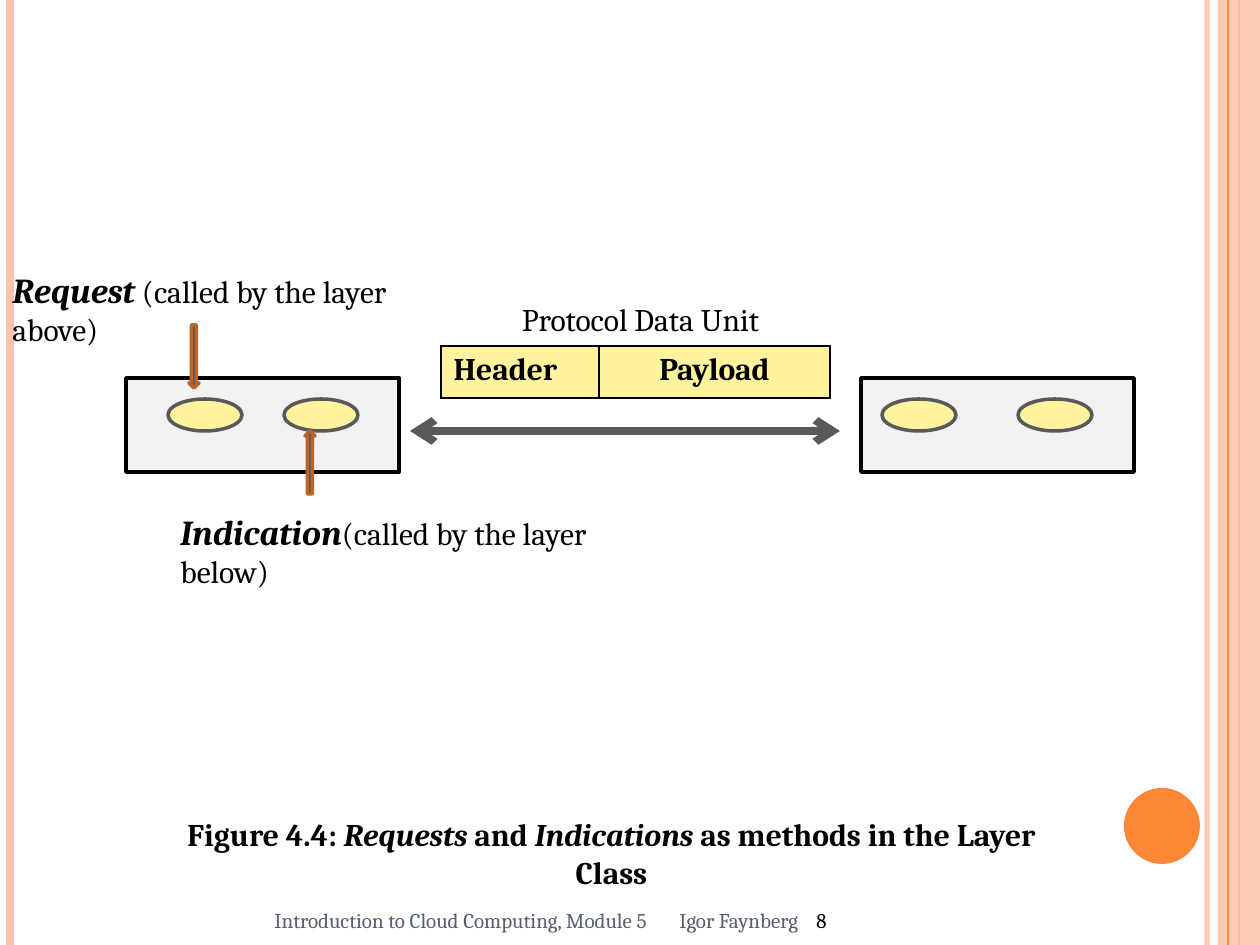
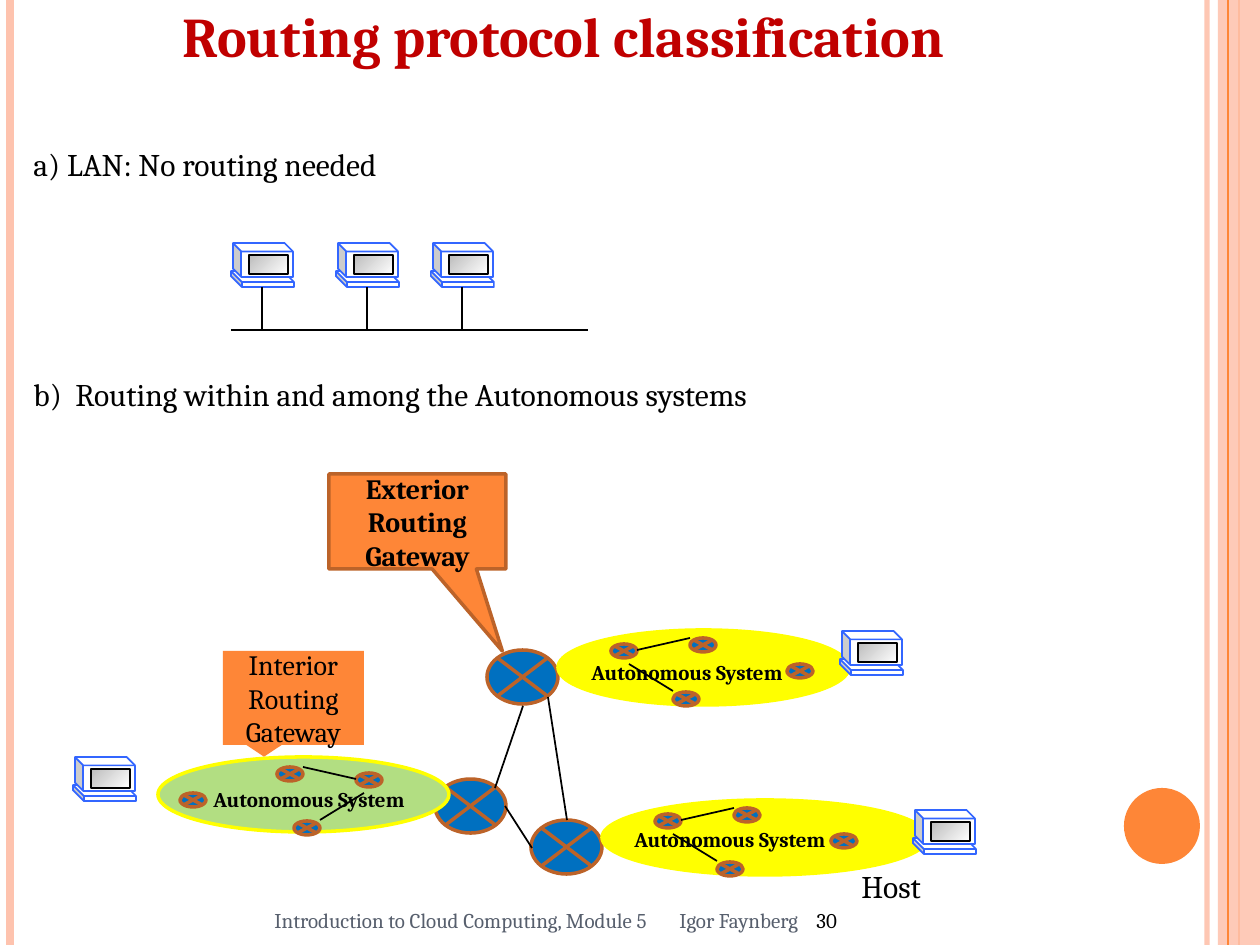
import pptx
import pptx.dml.color
import pptx.enum.shapes
import pptx.enum.text
import pptx.oxml
import pptx.oxml.ns
import pptx.util
from lxml import etree

SCALE = 914400 / 126  # EMU in one px
FONT = "Cambria"
COLORS = {
    "black": "000000", "white": "FFFFFF", "peach": "FEC3AE", "orange": "FE8637",
    "rust": "BC6329", "slate": "575F6D", "gray": "595959", "light": "F2F2F2",
    "cream": "FFF39D", "red": "C00000", "blue": "0070C0", "yellow": "FFFF00",
    "green": "B2DE82", "edge": "3366FF", "shade": "BCBCBC",
}
SHAPES = pptx.enum.shapes.MSO_SHAPE
ALIGN = pptx.enum.text.PP_ALIGN
ANCHOR = pptx.enum.text.MSO_ANCHOR

# ---- Shared content: bands and footer ----
BANDS = [  # x, color, width in points, opacity in percent
    (1207, "peach", 3, 93), (10, "peach", 4.5, 100), (1239, "orange", 1.5, 100),
]
SIDE_BAND = (1218, 0, 42, 945)
INNER_BAND = (1228, "orange", 0.75, 100)
CORNER_DOT = (1124, 788, 76, 76)
FOOTER = ["Introduction to Cloud Computing, Module 5", "\tIgor Faynberg"]
FOOTER_BOX = (262, 895, 872, 50)
FOOTER_TABS = [405, 542]

# ---- Content: layer class figure ----
CAPTION = [("Figure 4.4: ", {}), ("Requests", {"italic": True}), (" and ", {}),
           ("Indications", {"italic": True}), (" as methods in the Layer Class", {})]
CAPTION_BOX = (151, 809, 921, 50)
LAYERS = [(126, 378, 273, 94), (861, 378, 273, 94)]
METHOD_LEFTS = [168, 284, 882, 1018]
CALLS = [(SHAPES.UP_ARROW, 305, 431), (SHAPES.DOWN_ARROW, 189, 325)]
CALL_LABELS = [
    ((0, 262, 490, 55), "Request", " (called by the layer above)"),
    ((168, 504, 513, 55), "Indication", "(called by the layer below)"),
]
UNIT_LABEL = ("Protocol Data Unit", (441, 294, 399, 50))
UNIT_FIELDS = [("Header", 158, ALIGN.LEFT), ("Payload", 231, ALIGN.CENTER)]
UNIT_AT = (441, 346, 389, 52)

# ---- Content: routing ----
TITLE = "Routing protocol classification"
TITLE_BOX = (91, -5, 945, 81)
HEADINGS = [("a) LAN: No routing needed", (21, 139, 620, 50)),
            ("b)\tRouting within and among the Autonomous systems", (21, 369, 1040, 50))]
HEADING_TAB = 42
LAN_HOSTS = [(231, 243), (336, 243), (431, 243)]
LAN_CABLE = (231, 330, 588, 330)
REMOTE_HOSTS = [(840, 631), (913, 810), (73, 757)]
HOST_LABEL = ("Host", (849, 861, 150, 33))
SYSTEM_LABEL = "Autonomous System"
SYSTEMS = [  # node origin, direction, cloud box, cloud fill, label corner
    ((558, 630), 1, (558, 630, 291, 75), "yellow", (577, 653)),
    ((435, 759), -1, (158, 757, 291, 75), "green", (199, 780)),
    ((602, 800), 1, (602, 800, 326, 75), "yellow", (620, 820)),
]
EXTERIOR_ROUTER = (-71, 20, 71, 54)
INTERIOR_ROUTERS = [(53, 14), (132, 8), (115, 62), (229, 34)]
INTERIOR_SIZE = (26, 14)
INTERIOR_LINKS = [((79, 20), (132, 8)), ((71, 34), (115, 61))]
EXTERIOR_LINKS = [(523, 706, 495, 788), (532, 848, 505, 806), (548, 697, 567, 820)]
CALLOUTS = [  # words, box, bold, line color, pointer
    (["Interior", "Routing", "Gateway"], (223, 651, 141, 94), False, None, None),
    (["Exterior", "Routing", "Gateway"], (329, 474, 177, 95), True, "rust", (0.48, 1.364)),
]


# ---- Helpers ----
def px(length):
    return pptx.util.Emu(round(length * SCALE))


def rgb(name):
    return pptx.dml.color.RGBColor.from_string(COLORS[name])


def set_opacity(part, percent):
    color = next(part.iter(pptx.oxml.ns.qn("a:srgbClr")))
    etree.SubElement(color, pptx.oxml.ns.qn("a:alpha")).set("val", str(percent * 1000))


def add_shape(page, kind, box, fill, line=None, width=2, flip=False):
    shape = page.shapes.add_shape(kind, *map(px, box))
    shape.shadow.inherit = False
    shape.fill.solid()
    shape.fill.fore_color.rgb = rgb(fill)
    if line:
        shape.line.color.rgb = rgb(line)
        shape.line.width = pptx.util.Pt(width)
    else:
        shape.line.fill.background()
    if flip:
        shape.element.spPr.get_or_add_xfrm().set("flipH", "1")
    return shape


def add_line(page, ends, color="black", width=1, opacity=100, arrows=False):
    line = page.shapes.add_connector(
        pptx.enum.shapes.MSO_CONNECTOR.STRAIGHT, *map(px, ends))
    line.line.color.rgb = rgb(color)
    line.line.width = pptx.util.Pt(width)
    properties = line.element.spPr
    if opacity < 100:
        set_opacity(properties, opacity)
    if arrows:
        for end in ("a:headEnd", "a:tailEnd"):
            etree.SubElement(properties.ln, pptx.oxml.ns.qn(end)).set("type", "arrow")
    etree.SubElement(properties, pptx.oxml.ns.qn("a:effectLst"))


def style_font(para, size, color="black", bold=False, align=ALIGN.LEFT):
    para.alignment = align
    para.font.name = FONT
    para.font.size = pptx.util.Pt(size)
    para.font.bold = bold
    para.font.color.rgb = rgb(color)


def add_spans(para, spans):
    for text, style in spans:
        span = para.add_run()
        span.text = text
        for key, value in style.items():
            setattr(span.font, key, value)


def set_tabs(para, stops):
    tabs = etree.Element(pptx.oxml.ns.qn("a:tabLst"))
    for stop in stops:
        tab = etree.SubElement(tabs, pptx.oxml.ns.qn("a:tab"))
        tab.set("pos", str(px(stop)))
        tab.set("algn", "l")
    para.font  # the tab list goes ahead of the font defaults
    para._p.pPr.find(pptx.oxml.ns.qn("a:defRPr")).addprevious(tabs)


def add_text(page, box, spans, size, **style):
    frame = page.shapes.add_textbox(*map(px, box)).text_frame
    frame.word_wrap = True
    para = frame.paragraphs[0]
    style_font(para, size, **style)
    add_spans(para, spans)
    return para


def place_title(page, box, spans, size, color):
    title = page.shapes.title
    title.left, title.top, title.width, title.height = map(px, box)
    frame = title.text_frame
    frame.word_wrap = True
    frame.auto_size = pptx.enum.text.MSO_AUTO_SIZE.NONE
    frame.vertical_anchor = ANCHOR.TOP
    style_font(frame.paragraphs[0], size, color, True, ALIGN.CENTER)
    add_spans(frame.paragraphs[0], spans)


def add_page(deck, number):
    page = deck.slides.add_slide(deck.slide_layouts.get_by_name("Title Only"))
    for x, *look in BANDS:
        add_line(page, (x, 0, x, 945), *look)
    band = add_shape(page, SHAPES.RECTANGLE, SIDE_BAND, "peach")
    set_opacity(band.element.spPr, 87)
    x, *look = INNER_BAND
    add_line(page, (x, 0, x, 945), *look)
    add_shape(page, SHAPES.OVAL, CORNER_DOT, "orange")
    footer = add_text(page, FOOTER_BOX, [(text, {}) for text in FOOTER], 12, color="slate")
    add_spans(footer, [(f"\t{number}", {})])
    footer.runs[-1].font.color.rgb = rgb("black")
    set_tabs(footer, FOOTER_TABS)
    page.shapes[-1].text_frame.vertical_anchor = ANCHOR.MIDDLE
    return page


# ---- Layer class figure ----
def add_unit_table(page):
    table = page.shapes.add_table(1, len(UNIT_FIELDS), *map(px, UNIT_AT)).table
    table.first_row = table.horz_banding = False
    table.rows[0].height = px(UNIT_AT[3])
    for index, (text, width, align) in enumerate(UNIT_FIELDS):
        table.columns[index].width = px(width)
        cell = table.cell(0, index)
        para = cell.text_frame.paragraphs[0]
        style_font(para, 18, bold=True, align=align)
        add_spans(para, [(text, {})])
        cell.fill.solid()
        cell.fill.fore_color.rgb = rgb("cream")
        properties = cell._tc.get_or_add_tcPr()
        for position, side in enumerate("LRTB"):
            properties.insert(position, pptx.oxml.parse_xml(
                f'<a:ln{side} {pptx.oxml.ns.nsdecls("a")} w="12700"><a:solidFill>'
                f'<a:srgbClr val="{COLORS["black"]}"/></a:solidFill></a:ln{side}>'))


def build_layer_page(deck):
    page = add_page(deck, 8)
    place_title(page, CAPTION_BOX, CAPTION, 18, "black")
    for box in LAYERS:
        add_shape(page, SHAPES.RECTANGLE, box, "light", "black")
    add_line(page, (410, 431, 840, 431), "gray", 4.5, arrows=True)
    add_unit_table(page)
    text, box = UNIT_LABEL
    add_text(page, box, [(text, {})], 18, align=ALIGN.CENTER)
    for left in METHOD_LEFTS:
        add_shape(page, SHAPES.OVAL, (left, 399, 74, 32), "cream", "gray")
    for kind, left, top in CALLS:
        add_shape(page, kind, (left, top, 10, 63), "gray", "rust")
    strong = {"size": pptx.util.Pt(20), "bold": True, "italic": True}
    for box, name, note in CALL_LABELS:
        add_text(page, box, [(name, strong), (note, {})], 18)


# ---- Routing ----
def add_host(page, left, top):
    for box, depth in (((left, top + 28, 63, 16), 0.683), ((left + 2, top, 60, 34), 0.247)):
        cube = add_shape(page, SHAPES.CUBE, box, "white", "edge", 1, flip=True)
        cube.adjustments[0] = depth
    screen = add_shape(page, SHAPES.RECTANGLE, (left + 18, top + 12, 39, 19),
                       "white", "black", 1)
    screen.fill.gradient()
    screen.fill.gradient_angle = 315
    for stop, color in zip(screen.fill.gradient_stops, ("shade", "white")):
        stop.color.rgb = rgb(color)


def add_system(page, origin, direction, cloud, fill, label):
    x, y = origin

    def add_router(dx, dy, width, height):
        left = x + dx if direction > 0 else x - dx - width
        add_shape(page, SHAPES.FLOWCHART_SUMMING_JUNCTION,
                  (left, y + dy, width, height), "blue", "rust")

    add_router(*EXTERIOR_ROUTER)
    add_shape(page, SHAPES.OVAL, cloud, fill, "yellow")
    add_text(page, (*label, 220, 38), [(SYSTEM_LABEL, {})], 12, bold=True,
             align=ALIGN.CENTER)
    for offset in INTERIOR_ROUTERS:
        add_router(*offset, *INTERIOR_SIZE)
    for (x1, y1), (x2, y2) in INTERIOR_LINKS:
        add_line(page, (x + direction * x1, y + y1, x + direction * x2, y + y2))


def build_routing_page(deck):
    page = add_page(deck, 30)
    place_title(page, TITLE_BOX, [(TITLE, {})], 32, "red")
    for system in SYSTEMS:
        add_system(page, *system)
    for ends in EXTERIOR_LINKS:
        add_line(page, ends)
    for words, box, bold, line, pointer in CALLOUTS:
        callout = add_shape(page, SHAPES.RECTANGULAR_CALLOUT, box, "orange", line)
        if pointer:
            callout.adjustments[0], callout.adjustments[1] = pointer
        frame = callout.text_frame
        frame.vertical_anchor = ANCHOR.MIDDLE
        frame.text = "\n".join(words)
        for para in frame.paragraphs:
            style_font(para, 16, bold=bold, align=ALIGN.CENTER)
    add_line(page, LAN_CABLE)
    for left, top in LAN_HOSTS:
        add_host(page, left, top)
        add_line(page, (left + 31, top + 44, left + 31, LAN_CABLE[1]))
    for corner in REMOTE_HOSTS:
        add_host(page, *corner)
    for text, box in HEADINGS:
        set_tabs(add_text(page, box, [(text, {})], 18), [HEADING_TAB])
    text, box = HOST_LABEL
    add_text(page, box, [(text, {})], 18)


def main():
    deck = pptx.Presentation()
    deck.slide_width, deck.slide_height = px(1260), px(945)
    build_layer_page(deck)
    build_routing_page(deck)
    deck.save("out.pptx")


if __name__ == "__main__":
    main()
